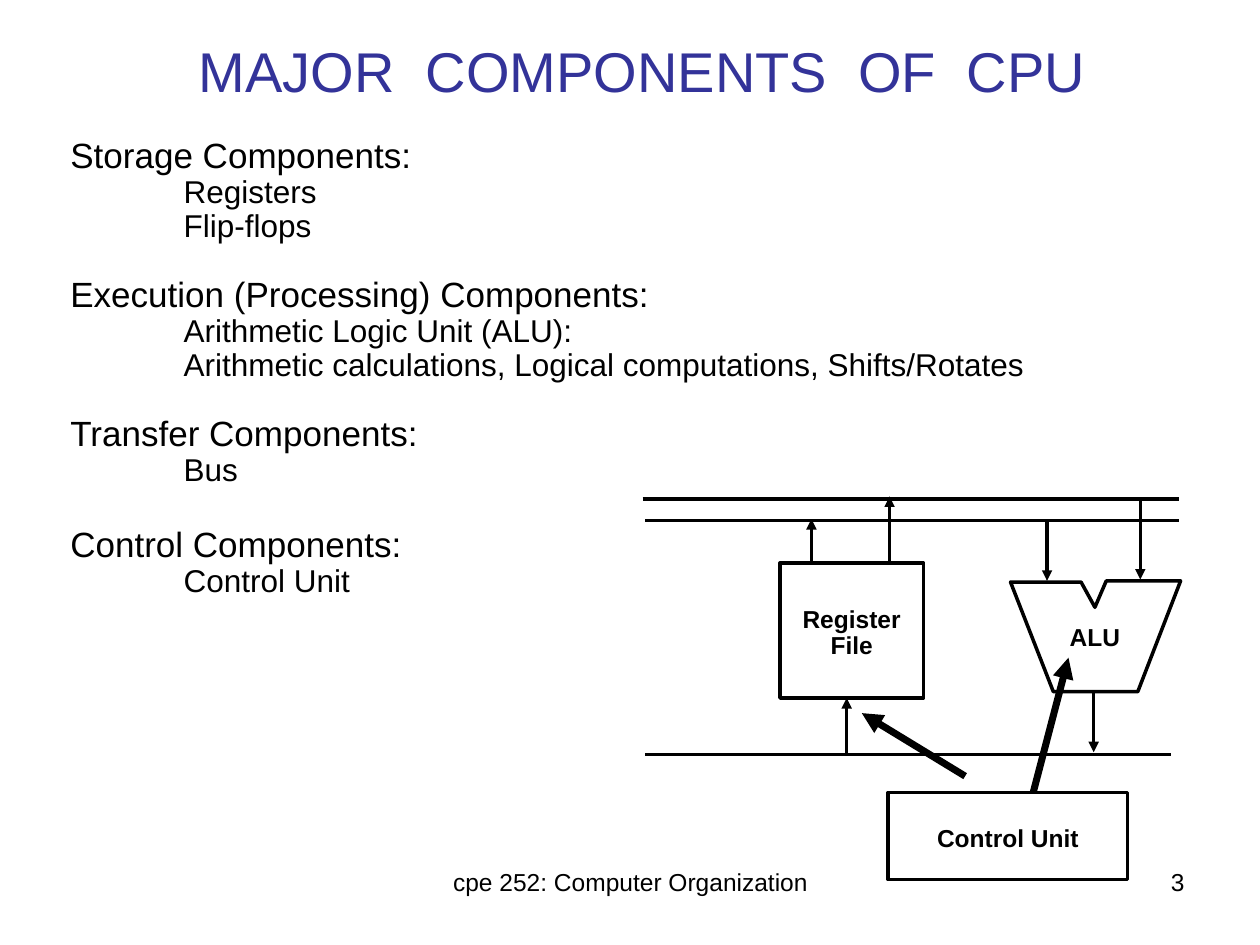
from dataclasses import dataclass

from lxml.etree import SubElement
from pptx import Presentation
from pptx.dml.color import RGBColor
from pptx.enum.shapes import MSO_CONNECTOR, MSO_SHAPE
from pptx.enum.text import MSO_ANCHOR, PP_ALIGN
from pptx.oxml.ns import qn
from pptx.slide import Slide
from pptx.util import Inches, Pt

BLACK = RGBColor(0x00, 0x00, 0x00)
INDIGO = RGBColor(0x33, 0x33, 0x99)
COLUMNS, ROWS = 100, 75
WIDTH, HEIGHT = Inches(10), Inches(7.5)

COMPONENTS = [
    ("Storage Components:", 0, ["Registers", "Flip-flops"]),
    ("Execution (Processing) Components:", 19, [
        "Arithmetic Logic Unit (ALU):",
        "Arithmetic calculations, Logical computations, Shifts/Rotates",
    ]),
    ("Transfer Components:", 19, ["Bus"]),
    ("Control Components:", 22, ["Control Unit"]),
]
BUSES = [(51, 39.6, 93.6), (51.2, 41.3, 93.6), (51.2, 59.9, 92.9)]
DATA_ARROWS = [
    (90.5, 39.8, 46), (83.1, 41.3, 46.1), (86.8, 54.9, 59.7),
    (67.2, 59.9, 55.4), (70.6, 44.7, 39.4), (64.4, 44.8, 41.2),
]
CONTROL_ARROWS = [(76.6, 61.6, 68.4, 56.6), (82, 62.9, 84.8, 52.2)]
BOXES = [(61.9, 44.7, 11.4, 10.7), (70.5, 62.9, 19, 6.9)]
ALU_OUTLINE = [
    (80.2, 46.2), (85.8, 46.2), (86.9, 48.2), (87.8, 46.1),
    (93.7, 46.1), (90.3, 54.9), (83.6, 54.9),
]
LABELS = [
    ("Register\nFile", (62.1, 47.7, 11, 5.2)),
    ("ALU", (83.4, 49.1, 7, 3.1)),
    ("Control Unit", (72, 65.1, 16, 3.1)),
]


@dataclass
class SlideBuilder:
    """Draws styled elements on a slide, with lengths in grid columns and rows."""

    slide: Slide
    font: str = "Arial"
    color: RGBColor = BLACK
    line_width: float = 2
    label_size: float = 14

    def place(self, *lengths):
        units = (WIDTH / COLUMNS, HEIGHT / ROWS) * 2
        return [round(length * unit) for length, unit in zip(lengths, units)]

    def format_paragraph(self, paragraph, size, color=None, bold=False,
                         alignment=PP_ALIGN.LEFT):
        paragraph.alignment = alignment
        for run in paragraph.runs:
            run.font.name = self.font
            run.font.size = Pt(size)
            run.font.bold = bold
            run.font.color.rgb = color or self.color

    def title(self, text, box, size):
        shape = self.slide.shapes.title
        shape.left, shape.top, shape.width, shape.height = self.place(*box)
        text_frame = shape.text_frame
        text_frame.text = text
        text_frame.vertical_anchor = MSO_ANCHOR.MIDDLE
        text_frame.margin_left = text_frame.margin_right = Inches(0.07)
        text_frame.margin_top = text_frame.margin_bottom = Inches(0.03)
        self.format_paragraph(text_frame.paragraphs[0], size, INDIGO,
                              alignment=PP_ALIGN.CENTER)

    def text(self, text, box, alignment=PP_ALIGN.CENTER, bold=False,
             wrap=True, spacing=1.0):
        text_frame = self.slide.shapes.add_textbox(*self.place(*box)).text_frame
        text_frame.word_wrap = wrap
        text_frame.text = text
        for paragraph in text_frame.paragraphs:
            paragraph.line_spacing = spacing
            self.format_paragraph(paragraph, self.label_size, bold=bold,
                                  alignment=alignment)

    def outline(self, groups, box):
        text_frame = self.slide.shapes.add_textbox(*self.place(*box)).text_frame
        text_frame.word_wrap = True
        text_frame.text = "\n".join(
            line for heading, _, items in groups for line in (heading, *items))
        gaps = {heading: gap for heading, gap, _ in groups}
        for paragraph in text_frame.paragraphs:
            paragraph.line_spacing = 0.9
            if paragraph.text in gaps:
                paragraph.space_before = Pt(gaps[paragraph.text])
                self.format_paragraph(paragraph, 20)
            else:
                paragraph._p.get_or_add_pPr().set("marL", str(Inches(0.9)))
                self.format_paragraph(paragraph, 18)

    def style_outline(self, shape):
        shape.shadow.inherit = False
        shape.fill.background()
        shape.line.color.rgb = self.color
        shape.line.width = Pt(self.line_width)

    def rectangle(self, box):
        self.style_outline(self.slide.shapes.add_shape(
            MSO_SHAPE.RECTANGLE, *self.place(*box)))

    def polygon(self, points):
        first, *others = [self.place(*point) for point in points]
        builder = self.slide.shapes.build_freeform(*first)
        builder.add_line_segments(others, close=True)
        self.style_outline(builder.convert_to_shape())

    def line(self, *ends, width=None, arrow=False):
        connector = self.slide.shapes.add_connector(
            MSO_CONNECTOR.STRAIGHT, *self.place(*ends))
        connector.line.color.rgb = self.color
        connector.line.width = Pt(width or self.line_width)
        if arrow:
            SubElement(connector.line._get_or_add_ln(), qn("a:tailEnd"),
                       type="triangle")
        SubElement(connector._element.spPr, qn("a:effectLst"))


def main():
    presentation = Presentation()
    presentation.slide_width, presentation.slide_height = WIDTH, HEIGHT
    slide = presentation.slides.add_slide(presentation.slide_layouts[5])
    builder = SlideBuilder(slide)

    builder.title("MAJOR  COMPONENTS  OF  CPU", (10.6, 2, 80.8, 7.1), 32)
    builder.text("cpe 252: Computer Organization", (34.2, 68.3, 31.7, 5.2))
    builder.text("3", (71.7, 68.3, 23.3, 5.2), PP_ALIGN.RIGHT)
    builder.outline(COMPONENTS, (4.6, 10.5, 89.9, 37.6))

    for box in BOXES:
        builder.rectangle(box)
    builder.polygon(ALU_OUTLINE)
    for left, row, right in BUSES:
        builder.line(left, row, right, row)
    for column, start, end in DATA_ARROWS:
        builder.line(column, start, column, end, arrow=True)
    for text, box in LABELS:
        builder.text(text, box, bold=True, wrap=False, spacing=0.9)
    for ends in CONTROL_ARROWS:
        builder.line(*ends, width=4, arrow=True)

    presentation.save("out.pptx")


if __name__ == "__main__":
    main()
